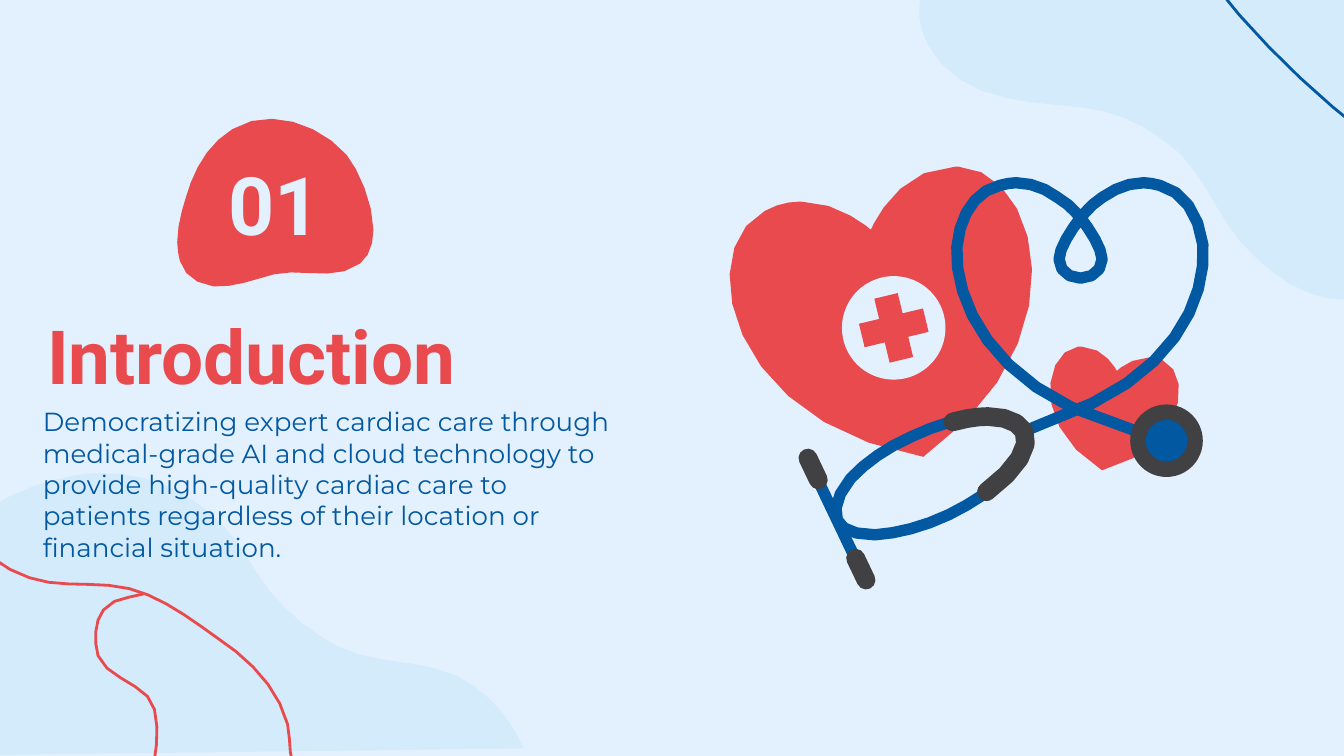
from dataclasses import dataclass
from math import ceil, dist, sqrt
from typing import NamedTuple

from pptx import Presentation
from pptx.dml.color import RGBColor
from pptx.enum.shapes import MSO_SHAPE
from pptx.enum.text import MSO_ANCHOR
from pptx.oxml.ns import qn
from pptx.util import Cm, Pt


@dataclass(frozen=True)
class Theme:
    """Colours, fonts, type sizes and line widths of the slide."""
    pale: str = "E3F1FE"
    wave: str = "D4EBFC"
    red: str = "E94A4E"
    blue: str = "0258A1"
    dark: str = "414042"
    head_font: str = "Roboto"
    body_font: str = "Montserrat"
    number: float = 43.2
    title: float = 40
    body: float = 14
    thin: float = 1.5
    tube: float = 6.1
    sleeve: float = 10


class Box(NamedTuple):
    """Area of the slide that a region fills."""
    x: int
    y: int
    w: int
    h: int


T = Theme()
UNIT = Cm(0.0254)
FINE = 100


def rgb(color):
    """Return the colour object of a hex string."""
    return RGBColor.from_string(color)


def bezier(a, b, c, d):
    """Return points along a cubic curve, more for a longer one."""
    length = (dist(a, b) + dist(b, c) + dist(c, d)) / FINE
    steps = ceil(sqrt(length) / 2)
    pts = []
    for i in range(1, steps + 1):
        t = i / steps
        u = 1 - t
        pts.append(tuple(u**3 * p + 3 * u * u * t * q + 3 * u * t * t * r + t**3 * v
                         for p, q, r, v in zip(a, b, c, d)))
    return pts


def trace(path):
    """Return the points of a path made of C and L commands."""
    pts = []
    for part in path.replace("C", "|C").replace("L", "|L").split("|"):
        nums = [float(n) * FINE for n in part.strip("CL ").split()]
        xy = list(zip(nums[::2], nums[1::2]))
        if part.startswith("C"):
            for i in range(0, len(xy), 3):
                pts += bezier(pts[-1], *xy[i:i + 3])
        else:
            pts += xy
    return pts


def paint(sp, fill=None, line=None, width=T.thin):
    """Give a shape its fill and round-ended line, and no shadow."""
    sp.shadow.inherit = False
    if fill:
        sp.fill.solid()
        sp.fill.fore_color.rgb = rgb(fill)
    else:
        sp.fill.background()
    if line:
        sp.line.color.rgb = rgb(line)
        sp.line.width = Pt(width)
        sp.element.spPr.find(qn("a:ln")).set("cap", "rnd")
    else:
        sp.line.fill.background()


def add_curve(s, box, path, fill=None, line=None, width=T.thin):
    """Draw a path, closed when it is filled, from the box's corner."""
    pts = trace(path)
    fb = s.shapes.build_freeform(*pts[0], scale=UNIT / FINE)
    fb.add_line_segments(pts[1:], close=bool(fill))
    paint(fb.convert_to_shape(box.x, box.y), fill, line, width)


def add_preset(s, box, kind, cx, cy, w, h, fill, turn=0):
    """Draw a preset shape around a centre within the box."""
    sp = s.shapes.add_shape(kind, round(box.x + (cx - w / 2) * UNIT),
                            round(box.y + (cy - h / 2) * UNIT),
                            round(w * UNIT), round(h * UNIT))
    sp.rotation = turn
    if kind == MSO_SHAPE.ROUNDED_RECTANGLE:
        sp.adjustments[0] = 0.5
    paint(sp, fill)


def add_text(s, box, text, font, size, color, bold=False, anchor=MSO_ANCHOR.MIDDLE):
    """Place a paragraph of formatted text in the box."""
    tf = s.shapes.add_textbox(*box).text_frame
    tf.word_wrap = True
    tf.vertical_anchor = anchor
    tf.margin_left = tf.margin_right = tf.margin_top = tf.margin_bottom = Cm(0.25)
    r = tf.paragraphs[0].add_run()
    r.text = text
    r.font.name, r.font.size, r.font.bold = font, Pt(size), bold
    r.font.color.rgb = rgb(color)


def backdrop(s, box):
    """Draw the waves and thin lines in the corners."""
    add_curve(s, box, "76 352 C 69 352 62 353 55 354 40 356 -17 372 -14 392 "
              "-13 399 -13 405 -12 411 L -12 562 390 557 C 380 535 364 515 340 503 "
              "312 490 280 495 251 481 227 468 206 450 191 426 "
              "176 401 162 382 135 367 117 357 96 352 76 352", T.wave)
    add_curve(s, box, "1057 -28 C 1024 -64 976 -91 927 -87 898 -85 870 -75 842 -64 "
              "820 -57 799 -49 776 -44 756 -41 735 -41 715 -33 703 -28 693 -20 687 -8 "
              "681 6 684 22 691 34 694 39 697 43 700 47 726 76 768 76 805 80 "
              "832 83 854 94 874 111 877 113 880 116 882 119 898 137 907 161 923 180 "
              "924 181 925 182 926 183 942 201 963 217 987 222 "
              "1042 234 1082 187 1097 140 1108 105 1104 64 1091 29 "
              "1087 20 1083 11 1079 3 1072 -8 1065 -18 1057 -28", T.wave)
    for path, color in (
        ("874 -62 C 890 -38 902 -11 922 11 986 84 1068 145 1157 183 "
         "1185 195 1212 213 1242 213", T.blue),
        ("-37 378 C -25 401 -3 422 22 430 45 438 71 432 96 438 120 444 141 460 162 475 "
         "185 490 207 512 214 539 217 551 213 573 225 573", T.red),
        ("107 442 C 97 445 83 445 77 454 70 463 70 477 73 488 80 506 111 509 115 528 "
         "119 545 116 563 112 580 110 588 99 596 104 602", T.red),
    ):
        add_curve(s, box, path, line=color)


def badge(s, box, number):
    """Draw the section number on its rounded blot."""
    add_curve(s, box, "0 92 C 0 97 1 102 2 106 5 116 13 123 27 125 "
              "42 126 57 120 72 116 92 111 118 122 136 108 143 103 146 93 146 83 "
              "146 63 135 38 126 27 106 4 68 -9 41 8 26 17 16 32 10 48 "
              "6 60 0 77 0 92", T.red)
    area = Box(box.x + Cm(0.71), box.y + Cm(0.58), Cm(2.34), Cm(2.03))
    add_text(s, area, number, T.head_font, T.number, T.pale, bold=True)


def heading(s, box, title, body):
    """Place the title with its paragraph below."""
    add_text(s, Box(box.x + Cm(0.08), box.y, Cm(9.65), Cm(3.23)), title,
             T.head_font, T.title, T.red, bold=True)
    add_text(s, Box(box.x, box.y + Cm(2.34), box.w, Cm(3.96)), body,
             T.body_font, T.body, T.blue, anchor=MSO_ANCHOR.TOP)


def hearts(s, box):
    """Draw the large heart with its cross and the small heart."""
    add_curve(s, box, "211 24 C 167 24 148 71 148 71 148 71 125 50 96 50 "
              "87 50 78 52 69 57 15 85 40 215 187 240 308 154 273 26 213 24 "
              "212 24 212 24 211 24", T.red)
    add_preset(s, box, MSO_SHAPE.OVAL, 165, 144, 77, 77, T.pale)
    for turn in (-13.5, 76.5):
        add_preset(s, box, MSO_SHAPE.RECTANGLE, 165, 144, 18, 49, T.red, turn)
    add_curve(s, box, "305 158 C 304 158 303 158 302 158 277 161 266 217 320 250 "
              "382 234 388 178 365 168 361 166 358 166 355 166 341 166 331 176 331 176 "
              "331 176 322 158 305 158", T.red)


def stethoscope(s, box):
    """Draw the heart-shaped tube, chest piece and ear tips."""
    for path in (
        "262 221 L 313 200 C 379 168 398 117 395 82 392 59 380 42 363 38 "
        "359 37 355 36 351 36 340 36 330 40 320 47 312 52 307 59 304 62 "
        "301 59 296 52 287 47 278 40 267 36 256 36 252 36 248 37 244 38 "
        "226 42 214 60 212 84 210 117 230 171 297 203 L 365 228",
        "304 62 C 311 71 320 85 320 93 320 101 313 107 304 107 "
        "295 107 288 101 288 93 288 85 297 71 304 62",
    ):
        add_curve(s, box, path, line=T.blue, width=T.tube)
    for size, color in ((54, T.dark), (31, T.blue)):
        add_preset(s, box, MSO_SHAPE.OVAL, 368, 228, size, size, color)
    add_curve(s, box, "235 210 C 247 210 258 214 262 220 265 229 261 240 251 251 "
              "240 264 224 274 206 283 187 292 168 297 151 298 135 298 126 294 123 287 "
              "120 279 123 268 133 256 144 244 160 233 178 225 197 216 216 210 235 210",
              line=T.blue, width=T.tube)
    add_curve(s, box, "209 214 C 220 211 228 210 235 210 248 210 258 214 262 221 "
              "267 232 257 249 234 266", line=T.dark, width=T.sleeve)
    for cx, cy, w, h, color in ((122.5, 286.5, 8.5, 73, T.blue),
                                (140.5, 323.5, 14, 32, T.dark),
                                (105, 249, 14, 32, T.dark)):
        add_preset(s, box, MSO_SHAPE.ROUNDED_RECTANGLE, cx, cy, w, h, color, -25.5)


def main():
    """Build the section slide and save it."""
    prs = Presentation()
    prs.slide_width, prs.slide_height = Cm(25.4), Cm(14.29)
    s = prs.slides.add_slide(prs.slide_layouts[6])
    s.background.fill.solid()
    s.background.fill.fore_color.rgb = rgb(T.pale)
    art = Box(Cm(12.7), Cm(2.54), Cm(10.2), Cm(8.6))
    backdrop(s, Box(0, 0, prs.slide_width, prs.slide_height))
    badge(s, Box(Cm(3.35), Cm(2.24), Cm(3.71), Cm(3.18)), "01")
    hearts(s, art)
    stethoscope(s, art)
    heading(s, Box(Cm(0.56), Cm(5.08), Cm(11.28), Cm(6.3)), "Introduction",
            "Democratizing expert cardiac care through medical-grade AI and cloud "
            "technology to provide high-quality cardiac care to patients regardless "
            "of their location or financial situation.")
    prs.save("out.pptx")


if __name__ == "__main__":
    main()
